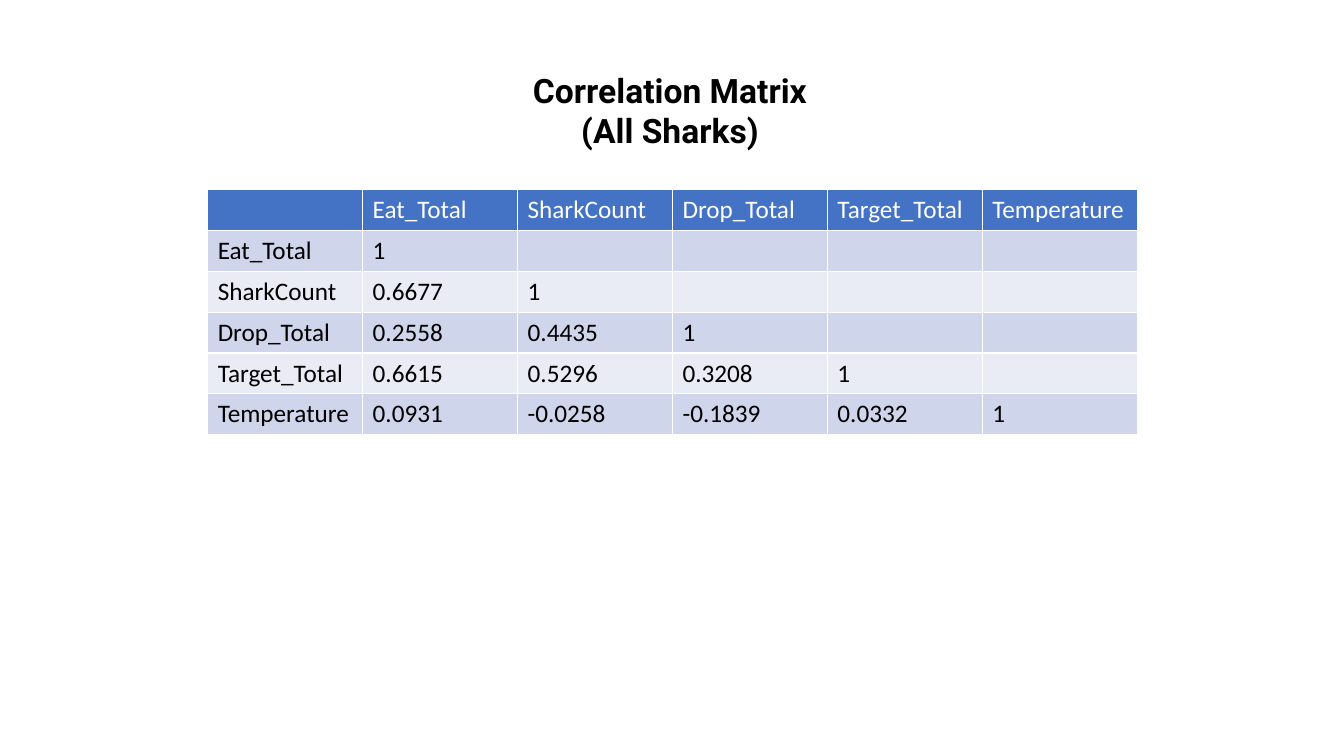
from dataclasses import dataclass

from lxml import etree
from pptx import Presentation
from pptx.dml.color import RGBColor as RGB
from pptx.enum.text import MSO_ANCHOR, MSO_AUTO_SIZE, PP_ALIGN
from pptx.oxml.ns import qn
from pptx.util import Inches, Pt


@dataclass(frozen=True)
class Theme:
    title_font: str = "Roboto"
    table_font: str = "Calibri"
    title_size: int = 24
    table_size: int = 18
    ink: str = "000000"
    white: str = "FFFFFF"
    header: str = "4472C4"
    bands: tuple = ("CFD5EA", "E9EBF5")
    border_width: int = 1


THEME = Theme()

VARIABLES = ["Eat_Total", "SharkCount", "Drop_Total", "Target_Total", "Temperature"]
# Lower triangle of the matrix, one list per variable
CORRELATIONS = [
    ["1"],
    ["0.6677", "1"],
    ["0.2558", "0.4435", "1"],
    ["0.6615", "0.5296", "0.3208", "1"],
    ["0.0931", "-0.0258", "-0.1839", "0.0332", "1"],
]


def format_runs(tf, font, size, color, bold=False):
    for p in tf.paragraphs:
        for r in p.runs:
            r.font.name = font
            r.font.size = Pt(size)
            r.font.bold = bold
            r.font.color.rgb = RGB.from_string(color)


def set_title(slide, text, left, top, width, height):
    sp = slide.shapes.title
    sp.left, sp.top, sp.width, sp.height = map(Inches, (left, top, width, height))
    tf = sp.text_frame
    tf.text = text
    tf.word_wrap = True
    tf.auto_size = MSO_AUTO_SIZE.NONE
    tf.vertical_anchor = MSO_ANCHOR.TOP
    for p in tf.paragraphs:
        p.alignment = PP_ALIGN.CENTER
    format_runs(tf, THEME.title_font, THEME.title_size, THEME.ink, bold=True)


def set_borders(cell, color, width):
    tc_pr = cell._tc.get_or_add_tcPr()
    for index, side in enumerate(("a:lnL", "a:lnR", "a:lnT", "a:lnB")):
        line = etree.Element(qn(side), w=str(Pt(width)))
        fill = etree.SubElement(line, qn("a:solidFill"))
        etree.SubElement(fill, qn("a:srgbClr"), val=color)
        tc_pr.insert(index, line)


def style_cell(cell, text, fill, color):
    cell.text = text
    cell.fill.solid()
    cell.fill.fore_color.rgb = RGB.from_string(fill)
    format_runs(cell.text_frame, THEME.table_font, THEME.table_size, color)
    set_borders(cell, THEME.white, THEME.border_width)


def add_matrix(slide, variables, correlations, left, top, width, height):
    """Add a lower-triangular matrix with the variables along both edges."""
    size = len(variables) + 1
    frame = slide.shapes.add_table(size, size, *map(Inches, (left, top, width, height)))
    rows = [["", *variables]]
    rows += [[name, *values] for name, values in zip(variables, correlations)]
    for i, row in enumerate(rows):
        fill = THEME.bands[(i - 1) % 2] if i else THEME.header
        color = THEME.ink if i else THEME.white
        for j in range(size):
            text = row[j] if j < len(row) else ""
            style_cell(frame.table.cell(i, j), text, fill, color)


def main():
    prs = Presentation()
    prs.slide_width, prs.slide_height = Inches(13.33), Inches(7.5)
    slide = prs.slides.add_slide(prs.slide_layouts.get_by_name("Title Only"))
    set_title(slide, "Correlation Matrix\n(All Sharks)", 2.76, 0.64, 7.77, 0.91)
    add_matrix(slide, VARIABLES, CORRELATIONS, 2.06, 1.88, 9.22, 2.43)
    prs.save("out.pptx")


if __name__ == "__main__":
    main()
